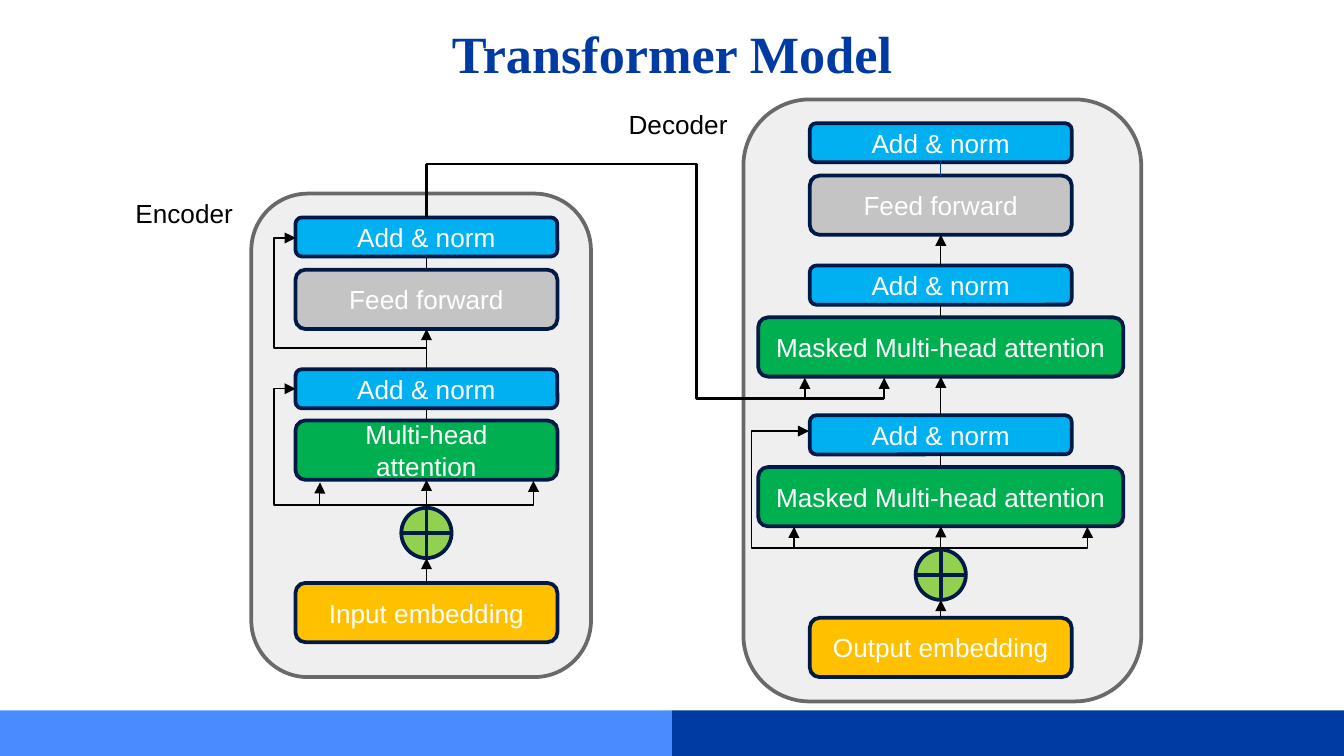
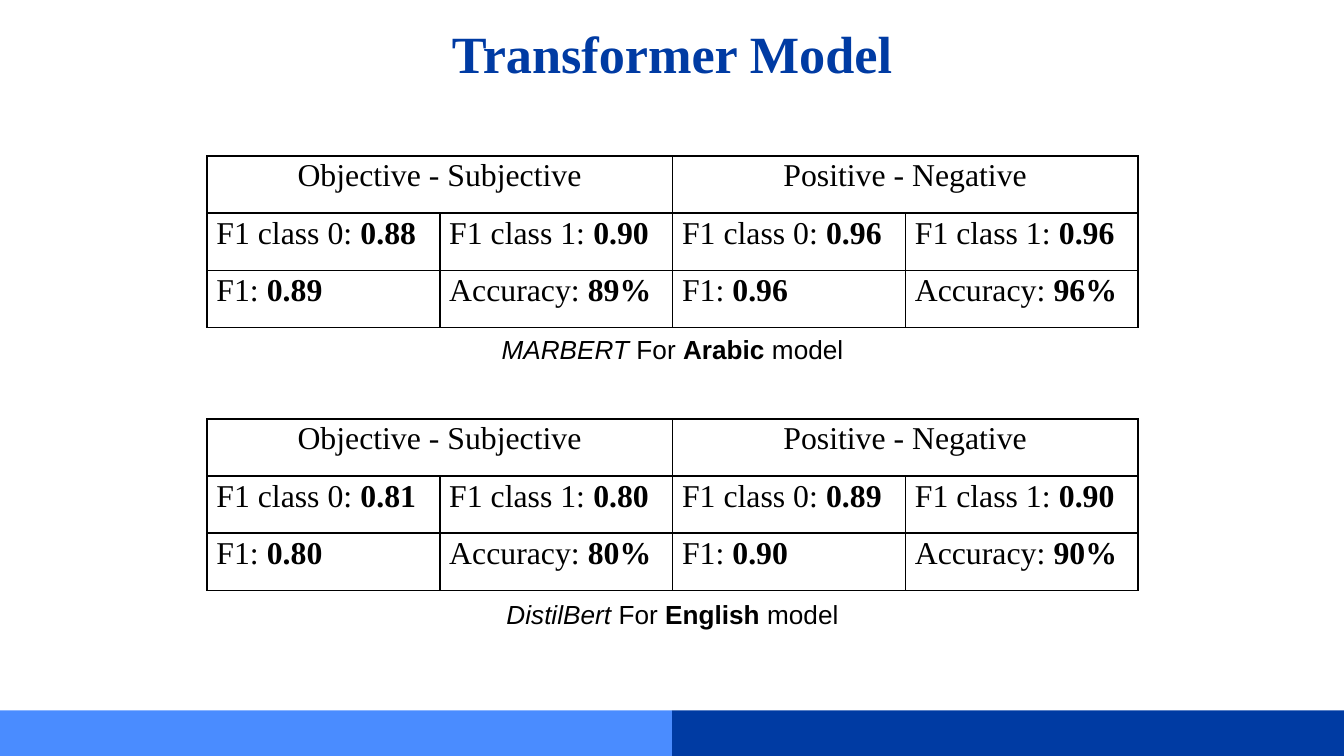
from lxml import etree
from pptx import Presentation
from pptx.dml.color import RGBColor
from pptx.enum.shapes import MSO_CONNECTOR, MSO_SHAPE
from pptx.enum.text import MSO_ANCHOR, PP_ALIGN
from pptx.oxml.ns import qn
from pptx.util import Cm, Pt

color = RGBColor.from_string
BLACK, WHITE, NAVY = "000000", "FFFFFF", "001A47"
BLUE, LIGHT_BLUE = "003BA3", "4A8CFF"
SERIF, SANS = "Times New Roman", "Arial"


def add_block(slide, preset, left, top, width, height, fill, line=None, text=""):
    block = slide.shapes.add_shape(preset, Cm(left), Cm(top), Cm(width), Cm(height))
    block.shadow.inherit = False
    block.fill.solid()
    block.fill.fore_color.rgb = color(fill)
    if line:
        block.line.color.rgb = color(line)
        block.line.width = Pt(2)
    else:
        block.line.fill.background()
    if text:
        frame = block.text_frame
        frame.text = text
        frame.vertical_anchor = MSO_ANCHOR.MIDDLE
        frame.paragraphs[0].alignment = PP_ALIGN.CENTER
        font = frame.paragraphs[0].runs[0].font
        font.name, font.size, font.color.rgb = SANS, Pt(14), color(WHITE)


def add_link(slide, start, end, turn=None, arrow=True, line=BLACK, weight=0.75):
    """Straight link, or an elbow whose vertical part is at the given turn."""
    route = MSO_CONNECTOR.STRAIGHT if turn is None else MSO_CONNECTOR.ELBOW
    link = slide.shapes.add_connector(route, *[Cm(v) for v in (*start, *end)])
    link.line.color.rgb = color(line)
    link.line.width = Pt(weight)
    properties = link._element.spPr
    if turn is not None:
        # A turn right at the end keeps a hair of overshoot
        ratio = 1.002 if turn == end[0] else (turn - start[0]) / (end[0] - start[0])
        adjustments = properties.find(qn("a:prstGeom")).get_or_add_avLst()
        etree.SubElement(adjustments, qn("a:gd"), name="adj1",
                         fmla=f"val {round(ratio * 100000)}")
    if arrow:
        etree.SubElement(properties.find(qn("a:ln")), qn("a:tailEnd"), type="triangle")
    etree.SubElement(properties, qn("a:effectLst"))


prs = Presentation()
prs.slide_width, prs.slide_height = Cm(25.4), Cm(14.29)

# Both slides: footer bands and title
for _ in range(2):
    slide = prs.slides.add_slide(prs.slide_layouts[6])
    for left, fill in ((12.7, BLUE), (0, LIGHT_BLUE)):
        add_block(slide, MSO_SHAPE.RECTANGLE, left, 13.43, 12.7, 0.86, fill)
    title = slide.shapes.add_textbox(0, Cm(0.03), Cm(25.4), Cm(1.6)).text_frame
    title.word_wrap = True
    title.margin_top = Cm(0.38)
    title.text = "Transformer Model"
    title.paragraphs[0].alignment = PP_ALIGN.CENTER
    font = title.paragraphs[0].runs[0].font
    font.name, font.size, font.bold, font.color.rgb = SERIF, Pt(28), True, color(BLUE)
diagram, results = prs.slides

# Slide 1: encoder and decoder stacks, listed from bottom to top
ROUND, SUM = MSO_SHAPE.ROUNDED_RECTANGLE, MSO_SHAPE.FLOWCHART_OR
NORM = "Add & norm"
KINDS = {  # preset, width, height, fill
    "Input embedding": (ROUND, 4.95, 1.12, "FFC000"),
    "Output embedding": (ROUND, 4.95, 1.12, "FFC000"),
    "": (SUM, 0.95, 0.95, "92D050"),
    "Multi-head attention": (ROUND, 4.95, 1.12, "00B050"),
    "Masked Multi-head attention": (ROUND, 6.9, 1.12, "00B050"),
    NORM: (ROUND, 4.95, 0.74, "00B0F0"),
    "Feed forward": (ROUND, 4.95, 1.12, "C4C4C4"),
}
ENCODER_X, DECODER_X = 8.06, 17.78
stacks = [
    ("Encoder", (2.31, 3.61), (4.75, 3.66, 6.42, 9.14), ENCODER_X, [
        ("Input embedding", 11.02), ("", 9.6), ("Multi-head attention", 7.95),
        (NORM, 6.98), ("Feed forward", 5.1), (NORM, 4.11)]),
    ("Decoder", (11.63, 1.93), (14.05, 1.88, 7.52, 11.38), DECODER_X, [
        ("Output embedding", 11.68), ("", 10.39), ("Masked Multi-head attention", 8.83),
        (NORM, 7.85), ("Masked Multi-head attention", 6), (NORM, 5.02),
        ("Feed forward", 3.32), (NORM, 2.33)]),
]
for name, label_at, panel, center, layers in stacks:
    add_block(diagram, ROUND, *panel, "EFEFEF", "696969")
    for text, top in layers:
        preset, width, height, fill = KINDS[text]
        add_block(diagram, preset, center - width / 2, top, width, height, fill, NAVY, text)
    for (_, start), (upper, top) in zip(layers, layers[1:]):
        last_decoder_link = center == DECODER_X and top == layers[-1][1]
        add_link(diagram, (center, start), (center, top + KINDS[upper][2]),
                 arrow=upper != NORM, line="003A9F" if last_decoder_link else BLACK)
    label = diagram.shapes.add_textbox(*[Cm(v) for v in (*label_at, 3.28, 0.86)]).text_frame
    label.word_wrap = True
    label.text = name
    font = label.paragraphs[0].runs[0].font
    font.name, font.size, font.color.rgb = SANS, Pt(14), color(BLACK)

# Attention inputs and residual paths: start, end, turn
for start, end, turn in (
    ((ENCODER_X, 9.55), (10.08, 9.09), 10.08),
    ((ENCODER_X, 9.55), (6.05, 9.12), 6.05),
    ((ENCODER_X, 9.55), (5.59, 7.35), 5.18),
    ((ENCODER_X, 6.58), (5.59, 4.5), 5.18),
    ((DECODER_X, 10.36), (20.55, 9.96), 20.55),
    ((DECODER_X, 10.36), (15.01, 9.96), 15.01),
    ((DECODER_X, 10.36), (15.29, 8.15), 14.2),
):
    add_link(diagram, start, end, turn)

# Encoder output into the decoder
add_link(diagram, (ENCODER_X, 4.11), (ENCODER_X, 3.1), arrow=False, weight=1.5)
add_link(diagram, (ENCODER_X, 3.1), (16.71, 7.54), 13.16, arrow=False, weight=1.5)
for x in (15.21, 16.71):
    add_link(diagram, (x, 7.54), (x, 7.14))

# Slide 2: one table of scores for each language
HEADINGS = ["Objective - Subjective", "", "Positive - Negative", ""]
MEASURES = [["F1 class 0: ", "F1 class 1: "] * 2, ["F1: ", "Accuracy: "] * 2]
models = [
    ("MARBERT", "Arabic", 2.95, 6.17,
     [["0.88", "0.90", "0.96", "0.96"], ["0.89", "89%", "0.96", "96%"]]),
    ("DistilBert", "English", 7.92, 11.18,
     [["0.81", "0.80", "0.89", "0.90"], ["0.80", "80%", "0.90", "90%"]]),
]
for model, language, table_top, caption_top, scores in models:
    table = results.shapes.add_table(3, 4, Cm(3.91), Cm(table_top), Cm(17.6), Cm(3.24)).table
    table.first_row = table.horz_banding = False
    for column in table.columns:
        column.width = Cm(4.4)
    for row in table.rows:
        row.height = Cm(1.08)
    for first in (0, 2):
        table.cell(0, first).merge(table.cell(0, first + 1))

    for r in range(3):
        for c in range(4):
            cell = table.cell(r, c)
            cell.margin_left = cell.margin_right = Cm(0.18)
            cell.margin_top = cell.margin_bottom = 0
            borders = cell._tc.get_or_add_tcPr()
            for side in ("lnL", "lnR", "lnT", "lnB"):
                border = etree.SubElement(borders, qn(f"a:{side}"), w=str(Pt(1)))
                solid = etree.SubElement(border, qn("a:solidFill"))
                etree.SubElement(solid, qn("a:srgbClr"), val=BLACK)
            cell.fill.background()
            if cell.is_spanned:
                continue
            entry = cell.text_frame.paragraphs[0]
            entry.line_spacing, entry.space_after = 1.07, Pt(2)
            if r == 0:
                entry.text = HEADINGS[c]
                entry.alignment = PP_ALIGN.CENTER
            else:
                entry.text = MEASURES[r - 1][c]
                score = entry.add_run()
                score.text = scores[r - 1][c]
                score.font.bold = True
            for run in entry.runs:
                run.font.name, run.font.size = SERIF, Pt(17)
                run.font.color.rgb = color(BLACK)

    # Caption under the table
    frame = results.shapes.add_textbox(Cm(3.91), Cm(caption_top), Cm(17.6), Cm(0.86)).text_frame
    frame.word_wrap = True
    caption = frame.paragraphs[0]
    caption.alignment = PP_ALIGN.CENTER
    for text in (model, " For ", language, " model"):
        run = caption.add_run()
        run.text = text
        run.font.name, run.font.size, run.font.color.rgb = SANS, Pt(14), color(BLACK)
        run.font.italic = text == model
        run.font.bold = text == language

prs.save("out.pptx")
